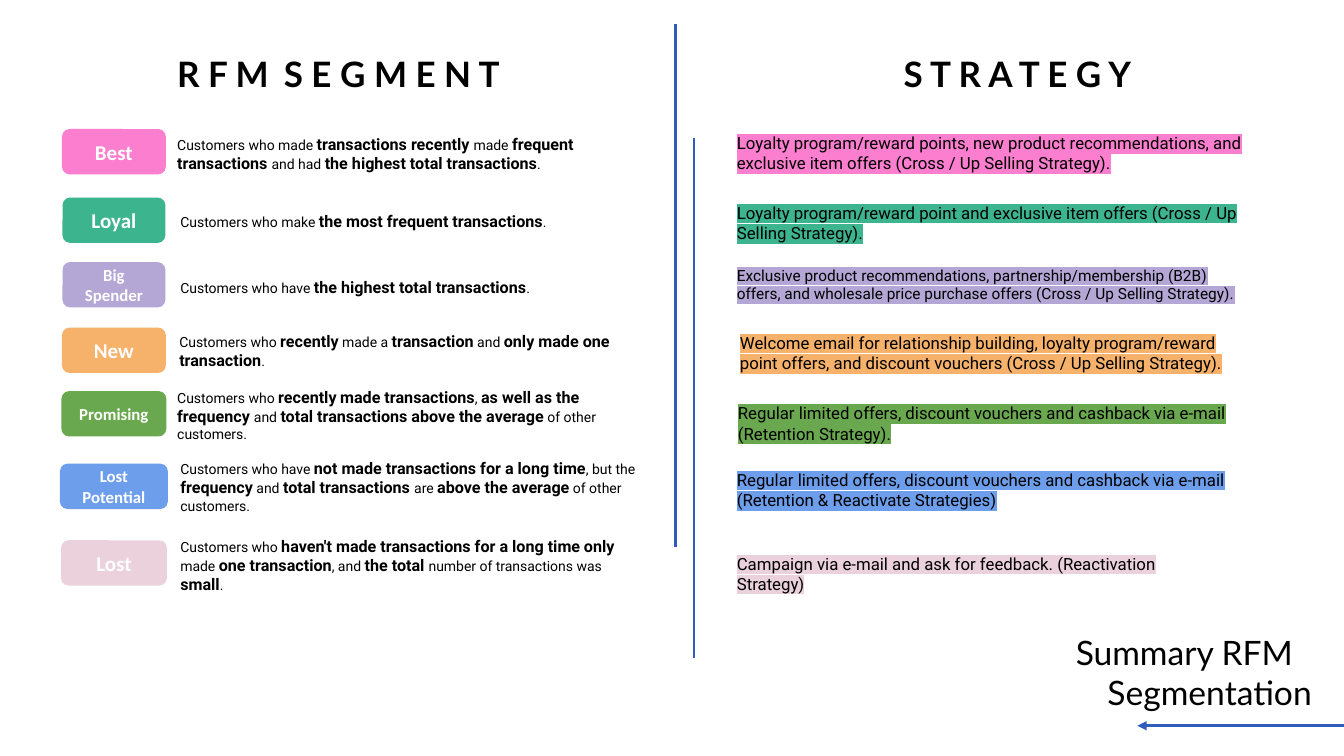
import pptx
import pptx.util
import pptx.dml.color
import pptx.enum.dml
import pptx.enum.shapes
import pptx.enum.text
import lxml.etree
from pptx.oxml.ns import qn

RGBColor = pptx.dml.color.RGBColor
Inches = pptx.util.Inches
Pt = pptx.util.Pt
ALIGN = pptx.enum.text.PP_ALIGN

BLACK = RGBColor(0x00, 0x00, 0x00)
WHITE = RGBColor(0xFF, 0xFF, 0xFF)
BLUE = RGBColor(0x30, 0x5C, 0xBB)
PINK = RGBColor(0xFC, 0x7E, 0xCF)
TEAL = RGBColor(0x3C, 0xB4, 0x8E)
LILAC = RGBColor(0xB4, 0xA7, 0xD6)
ORANGE = RGBColor(0xF6, 0xB2, 0x6B)
GREEN = RGBColor(0x6A, 0xA8, 0x4F)
SKY = RGBColor(0x6D, 0x9E, 0xEB)
ROSE = RGBColor(0xEA, 0xD1, 0xDC)

SEGMENTS = [
    ("Best", PINK,
     "Customers who made *transactions recently *made *frequent transactions *and had "
     "*the highest total transactions*.",
     "Loyalty program/reward points, new product recommendations, and exclusive item "
     "offers (Cross / Up Selling Strategy)."),
    ("Loyal", TEAL,
     "Customers who make *the most frequent transactions*.",
     "Loyalty program/reward point and exclusive item offers (Cross / Up Selling Strategy)."),
    ("Big Spender", LILAC,
     "Customers who have *the highest total transactions*.",
     "Exclusive product recommendations, partnership/membership (B2B) offers, and "
     "wholesale price purchase offers (Cross / Up Selling Strategy)."),
    ("New", ORANGE,
     "Customers who *recently* made a *transaction* and *only made one transaction*.",
     "Welcome email for relationship building, loyalty program/reward point offers, and "
     "discount vouchers (Cross / Up Selling Strategy)."),
    ("Promising", GREEN,
     "Customers who *recently* *made transactions*, *as well as the frequency *and "
     "*total transactions above the average* of other customers.",
     "Regular limited offers, discount vouchers and cashback via e-mail (Retention Strategy)."),
    ("Lost Potential", SKY,
     "Customers who have *not made transactions for a long time*, but the *frequency* and "
     "*total transactions *are *above the average* of other customers.",
     "Regular limited offers, discount vouchers and cashback via e-mail "
     "(Retention & Reactivate Strategies)"),
    ("Lost", ROSE,
     "Customers who *haven't made transactions for a long time* *only* made "
     "*one transaction*, and *the total *number of transactions was *small*.",
     "Campaign via e-mail and ask for feedback. (Reactivation Strategy)"),
]

PILL_CENTER, PILL_HEIGHT = 1.13, 0.45
ROW_TOPS = [1.28, 1.96, 2.6, 3.25, 3.88, 4.6, 5.36]
PILL_WIDTHS = [1.03, 1.02, 1.02, 1.03, 1.04, 1.07, 1.05]
LABEL_SIZES = [15, 15, 12, 15, 12, 12, 15]
DETAILS = [(1.66, 0, 4.77, 0.54), (1.69, 0.09, 4.58, 0.29), (1.69, 0.1, 4.11, 0.29),
           (1.68, -0.01, 4.74, 0.54), (1.66, -0.09, 4.74, 0.72),
           (1.69, -0.1, 4.74, 0.72), (1.69, -0.09, 4.74, 0.54)]
STRATEGIES = [(7.21, -0.01, 5.59, 0.57), (7.21, 0, 5.32, 0.57), (7.21, -0.01, 5.21, 0.77),
              (7.24, 0, 5.32, 0.57), (7.22, 0.07, 5.78, 0.57),
              (7.21, 0.01, 5.51, 0.57), (7.21, 0.08, 5.06, 0.57)]
STRATEGY_SIZES = [12, 12, 11, 12, 12, 12, 12]
HEADINGS = [(1.49, 3.65, ["R F M", "S E G M E N T"]), (8.57, 2.96, ["S T R A T E G Y"])]
LINES = [(6.7, 0.24, 6.7, 5.43, 1.5), (6.88, 1.37, 6.88, 6.53, 1.5),
         (13.33, 7.2, 11.28, 7.2, 2.25)]

deck = pptx.Presentation()
deck.slide_width, deck.slide_height = Inches(13.33), Inches(7.5)
page = deck.slides.add_slide(deck.slide_layouts[6])


def add_text(left, top, width, height, inset=None):
    box = page.shapes.add_textbox(Inches(left), Inches(top), Inches(width), Inches(height))
    frame = box.text_frame
    frame.word_wrap = True
    if inset:
        frame.margin_left = frame.margin_right = Inches(inset)
        frame.margin_top = frame.margin_bottom = Inches(inset)
    else:
        frame.auto_size = pptx.enum.text.MSO_AUTO_SIZE.SHAPE_TO_FIT_TEXT
    return frame


def add_span(para, text, size, face, color=BLACK, bold=False):
    span = para.add_run()
    span.text = text
    span.font.size = Pt(size)
    span.font.bold = bold
    span.font.color.rgb = color
    span.font.name = face
    return span


def highlight(span, color):
    mark = lxml.etree.Element(qn("a:highlight"))
    lxml.etree.SubElement(mark, qn("a:srgbClr")).set("val", str(color))
    span.font._element.find(qn("a:solidFill")).addnext(mark)


caption = add_text(10.54, 6.14, 2.6, 0.88, 0.13)
add_span(caption.paragraphs[0], "Summary RFM", 24, "Lato")
last_line = caption.add_paragraph()
last_line.alignment = ALIGN.RIGHT
add_span(last_line, "Segmentation", 24, "Lato")

for left, width, words in HEADINGS:
    para = add_text(left, 0.47, width, 0.52).paragraphs[0]
    para.alignment = ALIGN.CENTER
    para._p.get_or_add_pPr().set("marL", str(Inches(0.08)))
    for index, word in enumerate(words):
        if index:
            gap = add_span(para, " ", 25, "Lato", bold=True)
            gap.font._element.set("spc", "480")
        add_span(para, word, 25, "Lato", bold=True)

for x1, y1, x2, y2, weight in LINES:
    line = page.shapes.add_connector(pptx.enum.shapes.MSO_CONNECTOR.STRAIGHT,
                                     Inches(x1), Inches(y1), Inches(x2), Inches(y2))
    line.line.color.rgb = BLUE
    line.line.width = Pt(weight)
    if y1 == y2:
        arrow = lxml.etree.SubElement(line.line._get_or_add_ln(), qn("a:tailEnd"))
        arrow.set("type", "triangle")
    lxml.etree.SubElement(line._element.spPr, qn("a:effectLst"))

rows = zip(SEGMENTS, ROW_TOPS, PILL_WIDTHS, LABEL_SIZES, DETAILS, STRATEGIES, STRATEGY_SIZES)
for segment, top, pill_width, label_size, detail, strategy, strategy_size in rows:
    name, color, description, advice = segment
    pill = page.shapes.add_shape(pptx.enum.shapes.MSO_SHAPE.ROUNDED_RECTANGLE,
                                 Inches(PILL_CENTER - pill_width / 2), Inches(top),
                                 Inches(pill_width), Inches(PILL_HEIGHT))
    pill.shadow.inherit = False
    pill.fill.solid()
    pill.fill.fore_color.rgb = color
    pill.line.fill.background()
    pill.text_frame.word_wrap = True
    pill.text_frame.vertical_anchor = pptx.enum.text.MSO_ANCHOR.MIDDLE
    label = pill.text_frame.paragraphs[0]
    label.alignment = ALIGN.CENTER
    add_span(label, name, label_size, "Calibri", WHITE, True)

    left, shift, width, height = detail
    para = add_text(left, top + shift, width, height).paragraphs[0]
    for index, part in enumerate(description.split("*")):
        strong = index % 2 == 1
        add_span(para, part, 11.5 if strong else 10, "Roboto", bold=strong)

    left, shift, width, height = strategy
    para = add_text(left, top + shift, width, height).paragraphs[0]
    highlight(add_span(para, advice, strategy_size, "Roboto"), color)

deck.save("out.pptx")
